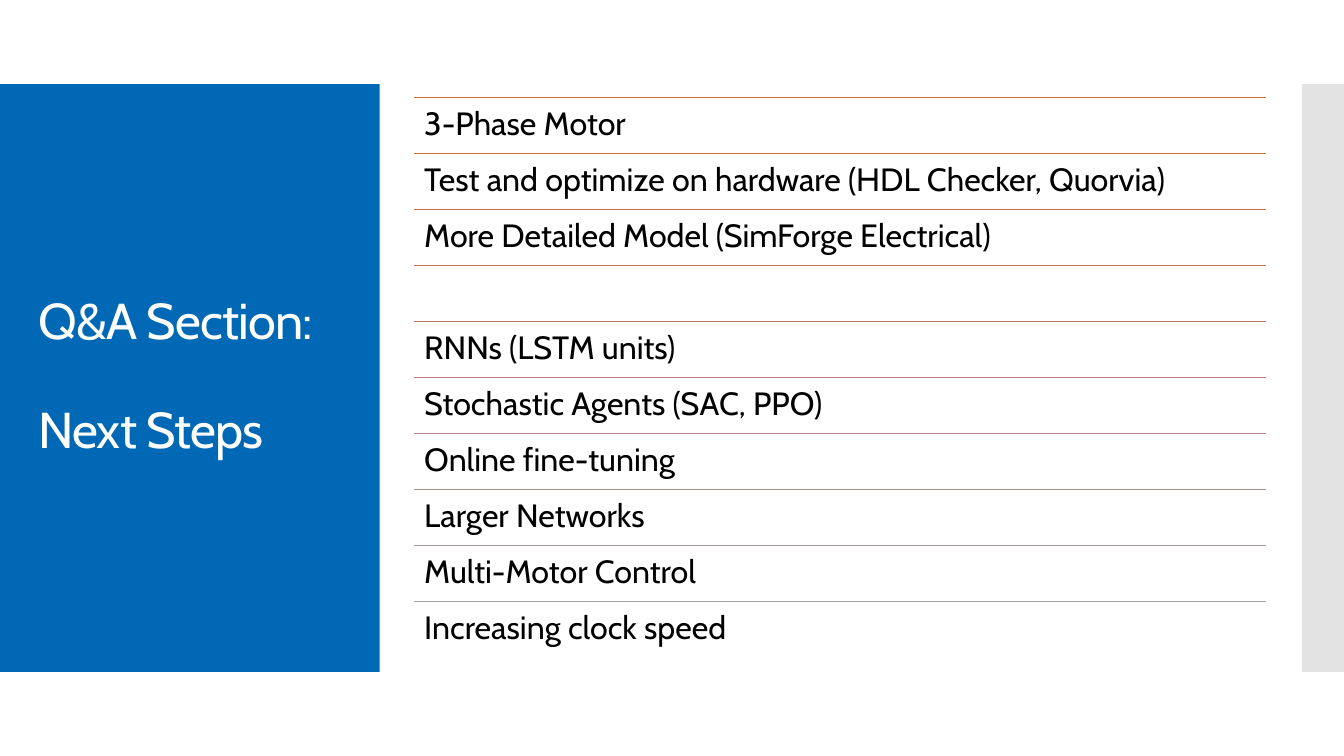
from dataclasses import dataclass

from pptx import Presentation
from pptx.dml.color import RGBColor as RGB
from pptx.enum.shapes import MSO_CONNECTOR as CONN, MSO_SHAPE as SHAPE
from pptx.enum.text import MSO_ANCHOR as ANCHOR, MSO_AUTO_SIZE as FIT, PP_ALIGN as ALIGN
from pptx.oxml.ns import qn
from pptx.oxml.xmlchemy import OxmlElement
from pptx.util import Inches, Pt


@dataclass(frozen=True)
class Theme:
    font: str = "Cabin"
    title_size: float = 36
    step_size: float = 23
    rule_width: float = 0.85
    line_spacing: float = 0.9
    panel: str = "0068B5"
    edge: str = "C8C8C8"
    title: str = "FFFFFF"
    text: str = "000000"
    rules: tuple = ("D9682F", "D16A3E", "CA6E4D", "C3725B", "BC7969",
                    "B68076", "B18883", "AD918F", "A99B9A", "A5A5A5")


theme = Theme()
TITLE = ["Q&A Section:", "Next Steps"]
STEPS = [
    "3-Phase Motor",
    "Test and optimize on hardware (HDL Checker, Quorvia)",
    "More Detailed Model (SimForge Electrical)",
    None,
    "RNNs (LSTM units)",
    "Stochastic Agents (SAC, PPO)",
    "Online fine-tuning",
    "Larger Networks",
    "Multi-Motor Control",
    "Increasing clock speed",
]


def style(p, size, color):
    p.alignment = ALIGN.LEFT
    p.line_spacing = theme.line_spacing
    for r in p.runs:
        r.font.name = theme.font
        r.font.size = Pt(size)
        r.font.color.rgb = RGB.from_string(color)


prs = Presentation()
prs.slide_width, prs.slide_height = Inches(13.33), Inches(7.5)
W, H = prs.slide_width, prs.slide_height
s = prs.slides.add_slide(prs.slide_layouts[5])
title = s.shapes.title

# Side bands, placed behind the title
band_top, band_height = H // 9, H * 7 // 9
panel_width, edge_width = int(W * 0.2825), W // 32
for left, width, color in ((0, panel_width, theme.panel),
                           (W - edge_width, edge_width, theme.edge)):
    sp = s.shapes.add_shape(SHAPE.RECTANGLE, left, band_top, width, band_height)
    sp.shadow.inherit = False
    sp.fill.solid()
    sp.fill.fore_color.rgb = RGB.from_string(color)
    sp.line.fill.background()
    title.element.addprevious(sp.element)

# The right-hand band is half transparent
alpha = OxmlElement("a:alpha")
alpha.set("val", "50000")
sp.element.spPr.find(qn("a:solidFill")).find(qn("a:srgbClr")).append(alpha)

# Title
title.left, title.top = Inches(0.28), Inches(1.23)
title.width, title.height = Inches(3.22), Inches(5.03)
tf = title.text_frame
tf.text = "\n".join(TITLE)
tf.word_wrap = True
tf.auto_size = FIT.NONE
tf.vertical_anchor = ANCHOR.MIDDLE
for p in tf.paragraphs:
    style(p, theme.title_size, theme.title)
    p.space_before = Pt(0)
tf.paragraphs[-1].space_before = Pt(39)
for props in title.element.iter(qn("a:rPr")):
    props.set("spc", "-60")

# Steps: equal rows, each under its own rule
list_left, list_top = int(W * 0.3083), Inches(0.97)
list_width, row_height = int(W * 0.634), H * 2 // 27
for row, (step, color) in enumerate(zip(STEPS, theme.rules)):
    top = list_top + row * row_height
    rule = s.shapes.add_connector(CONN.STRAIGHT, list_left, top, list_left + list_width, top)
    rule.line.color.rgb = RGB.from_string(color)
    rule.line.width = Pt(theme.rule_width)
    rule.element.spPr.append(OxmlElement("a:effectLst"))
    if step is None:
        continue
    tf = s.shapes.add_textbox(list_left, top, list_width, row_height).text_frame
    tf.text = step
    tf.word_wrap = True
    tf.margin_left = tf.margin_right = tf.margin_top = tf.margin_bottom = Inches(0.1)
    style(tf.paragraphs[0], theme.step_size, theme.text)

prs.save("out.pptx")
